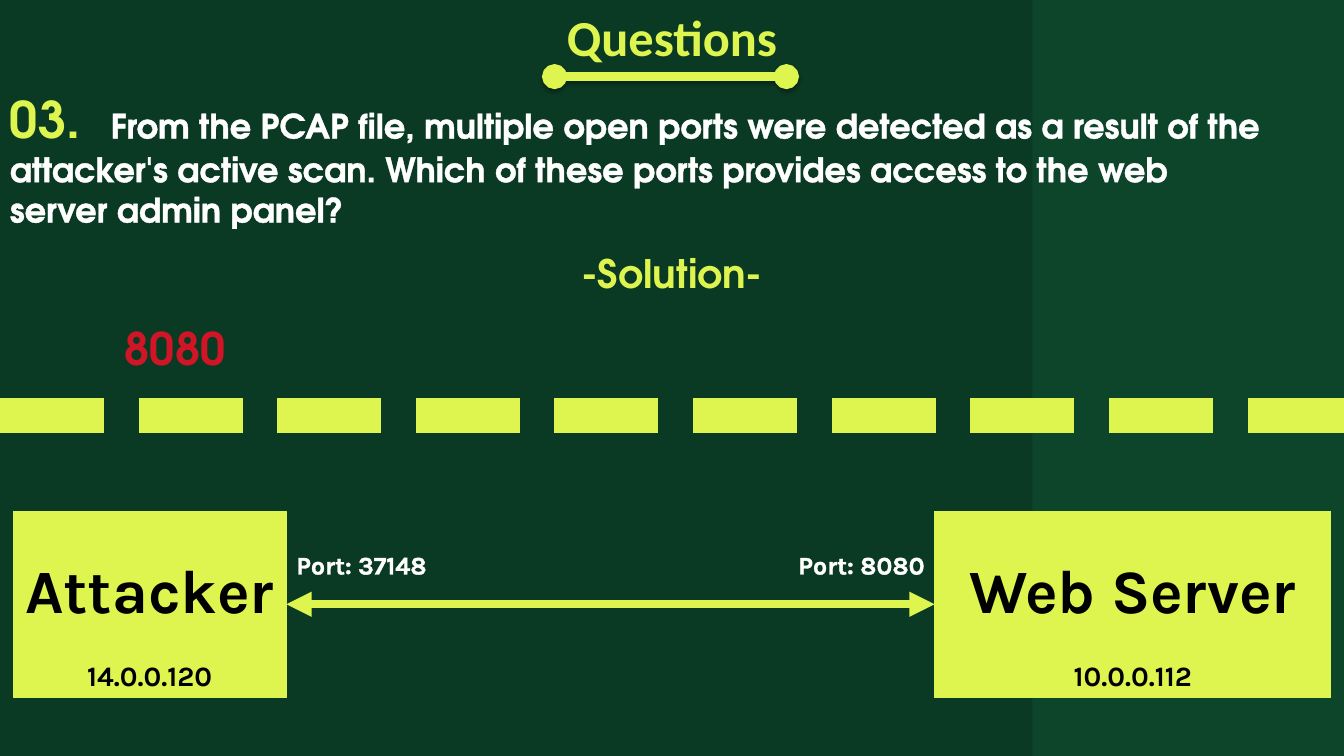
from lxml import etree
from pptx import Presentation
from pptx.dml.color import RGBColor
from pptx.enum.dml import MSO_LINE
from pptx.enum.shapes import MSO_CONNECTOR, MSO_SHAPE
from pptx.enum.text import MSO_ANCHOR, MSO_AUTO_SIZE, PP_ALIGN
from pptx.oxml.ns import qn
from pptx.util import Inches, Pt

LEFT, CENTER, RIGHT = PP_ALIGN.LEFT, PP_ALIGN.CENTER, PP_ALIGN.RIGHT
MIDDLE, BOTTOM, TOP = MSO_ANCHOR.MIDDLE, MSO_ANCHOR.BOTTOM, MSO_ANCHOR.TOP
STRAIGHT, RECTANGLE = MSO_CONNECTOR.STRAIGHT, MSO_SHAPE.RECTANGLE
LIME = RGBColor(0xDE, 0xF4, 0x4F)
RED = RGBColor(0xD0, 0x15, 0x27)
WHITE = RGBColor(0xFF, 0xFF, 0xFF)
BLACK = RGBColor(0, 0, 0)
DARK_GREEN = RGBColor(0x0B, 0x3A, 0x24)
PANEL_GREEN = RGBColor(0x12, 0x5F, 0x3B)
HEADING_FONT, BODY_FONT, LABEL_FONT = "Calibri", "TeX Gyre Adventor", "Karla"

# Content
TITLE = "Questions"
NUMBER = "03."
QUESTION = [
    "From the PCAP file, multiple open ports were detected as a result of the",
    "attacker's active scan. Which of these ports provides access to the web",
    "server admin panel?",
]
SOLUTION = "-Solution-"
ANSWER = "8080"
# name, address, left, width, port label, label alignment
HOSTS = [
    ("Attacker", "14.0.0.120", 0.13, 2.71, "Port: 37148", LEFT),
    ("Web Server", "10.0.0.112", 9.27, 3.93, "Port: 8080", RIGHT),
]

# Layout
WIDTH, HEIGHT = 13.33, 7.5
PANEL_LEFT = 10.24
RULE_LEFT, RULE_RIGHT, RULE_Y = 5.5, 7.8, 0.76
DIVIDER_Y = 4.12
HOST_TOP, HOST_HEIGHT = 5.07, 1.85
PORT_TOP, PORT_WIDTH, PORT_HEIGHT = 5.4, 1.64, 0.4


def add_text(para, text, size, color, font=BODY_FONT):
    """Add a bold run with a thin outline in its own colour."""
    span = para.add_run()
    span.text = text
    span.font.size, span.font.bold, span.font.name = Pt(size), True, font
    span.font.color.rgb = color
    outline = etree.Element(qn("a:ln"), w=str(Pt(0.75)))
    fill = etree.SubElement(outline, qn("a:solidFill"))
    etree.SubElement(fill, qn("a:srgbClr"), val=str(color))
    span.font._element.insert(0, outline)


def first_para(shape, anchor, align=LEFT):
    frame = shape.text_frame
    frame.word_wrap, frame.vertical_anchor = True, anchor
    frame.auto_size = MSO_AUTO_SIZE.NONE
    para = frame.paragraphs[0]
    para.alignment = align
    return para


def add_box(left, top, width, height):
    return slide.shapes.add_textbox(*map(Inches, (left, top, width, height)))


def add_rectangle(left, top, width, height, color):
    box = slide.shapes.add_shape(RECTANGLE, *map(Inches, (left, top, width, height)))
    box.shadow.inherit = False
    box.fill.solid()
    box.fill.fore_color.rgb = color
    return box


def add_line(start, end, y, weight, ends=None):
    """Add a level line and return it with its empty effect list."""
    line = slide.shapes.add_connector(STRAIGHT, *map(Inches, (start, y, end, y)))
    line.line.color.rgb, line.line.width = LIME, Pt(weight)
    if ends:
        for tag in ("a:headEnd", "a:tailEnd"):
            etree.SubElement(line.line._get_or_add_ln(), qn(tag), type=ends)
    effects = etree.SubElement(line._element.spPr, qn("a:effectLst"))
    return line, effects


deck = Presentation()
deck.slide_width, deck.slide_height = Inches(WIDTH), Inches(HEIGHT)
slide = deck.slides.add_slide(deck.slide_layouts[5])

# Background with a translucent side panel
slide.background.fill.solid()
slide.background.fill.fore_color.rgb = DARK_GREEN
panel = add_rectangle(PANEL_LEFT, 0, WIDTH - PANEL_LEFT, HEIGHT, PANEL_GREEN)
panel.line.fill.background()
panel_color = panel._element.spPr.find(qn("a:solidFill"))[0]
etree.SubElement(panel_color, qn("a:alpha"), val="30000")

# Title and its shadowed underline
title = slide.shapes.title
title.left, title.top = Inches(0), Inches(0.05)
title.width, title.height = Inches(WIDTH), Inches(0.63)
add_text(first_para(title, MIDDLE, CENTER), TITLE, 36, LIME, HEADING_FONT)
underline, effects = add_line(RULE_LEFT, RULE_RIGHT, RULE_Y, 6, "oval")
shadow = etree.SubElement(effects, qn("a:outerShdw"), blurRad=str(Pt(3)),
                          dist=str(Pt(2)), dir="5400000", rotWithShape="0")
shade = etree.SubElement(shadow, qn("a:srgbClr"), val=str(BLACK))
etree.SubElement(shade, qn("a:alpha"), val="35000")

# Question, solution heading and answer
question_box = add_box(0, 0.81, WIDTH, 2.19)
para = first_para(question_box, MIDDLE)
add_text(para, NUMBER, 36, LIME)
add_text(para, "\t", 24, WHITE)
for index, text in enumerate(QUESTION):
    if index:
        para.add_line_break()
    add_text(para, text, 24, WHITE)
para = question_box.text_frame.add_paragraph()
para.alignment, para.space_before = CENTER, Pt(14)
add_text(para, SOLUTION, 28, LIME)
answer_box = add_box(1.14, 3.13, WIDTH - 1.14, 0.64)
add_text(first_para(answer_box, MIDDLE), ANSWER, 32, RED)

# Dashed divider
divider, _ = add_line(0, WIDTH, DIVIDER_Y, 24.75)
divider.line.dash_style = MSO_LINE.SQUARE_DOT

# Hosts with their port labels
hosts = []
for name, address, left, width, port, align in HOSTS:
    host = add_rectangle(left, HOST_TOP, width, HOST_HEIGHT, LIME)
    host.line.color.rgb, host.line.width = LIME, Pt(0.75)
    add_text(first_para(host, BOTTOM, CENTER), name, 44, BLACK, LABEL_FONT)
    para = host.text_frame.add_paragraph()
    para.alignment, para.space_before = CENTER, Pt(24)
    add_text(para, address, 20, BLACK, LABEL_FONT)
    hosts.append(host)
    port_left = left + width if align == LEFT else left - PORT_WIDTH
    label = add_box(port_left, PORT_TOP, PORT_WIDTH, PORT_HEIGHT)
    add_text(first_para(label, TOP, align), port, 18, WHITE, LABEL_FONT)

# Two-way arrow between the hosts
attacker, server = hosts
arrow, _ = add_line(HOSTS[0][2] + HOSTS[0][3], HOSTS[1][2],
                    HOST_TOP + HOST_HEIGHT / 2, 6, "triangle")
arrow.begin_connect(attacker, 3)
arrow.end_connect(server, 1)

deck.save("out.pptx")
